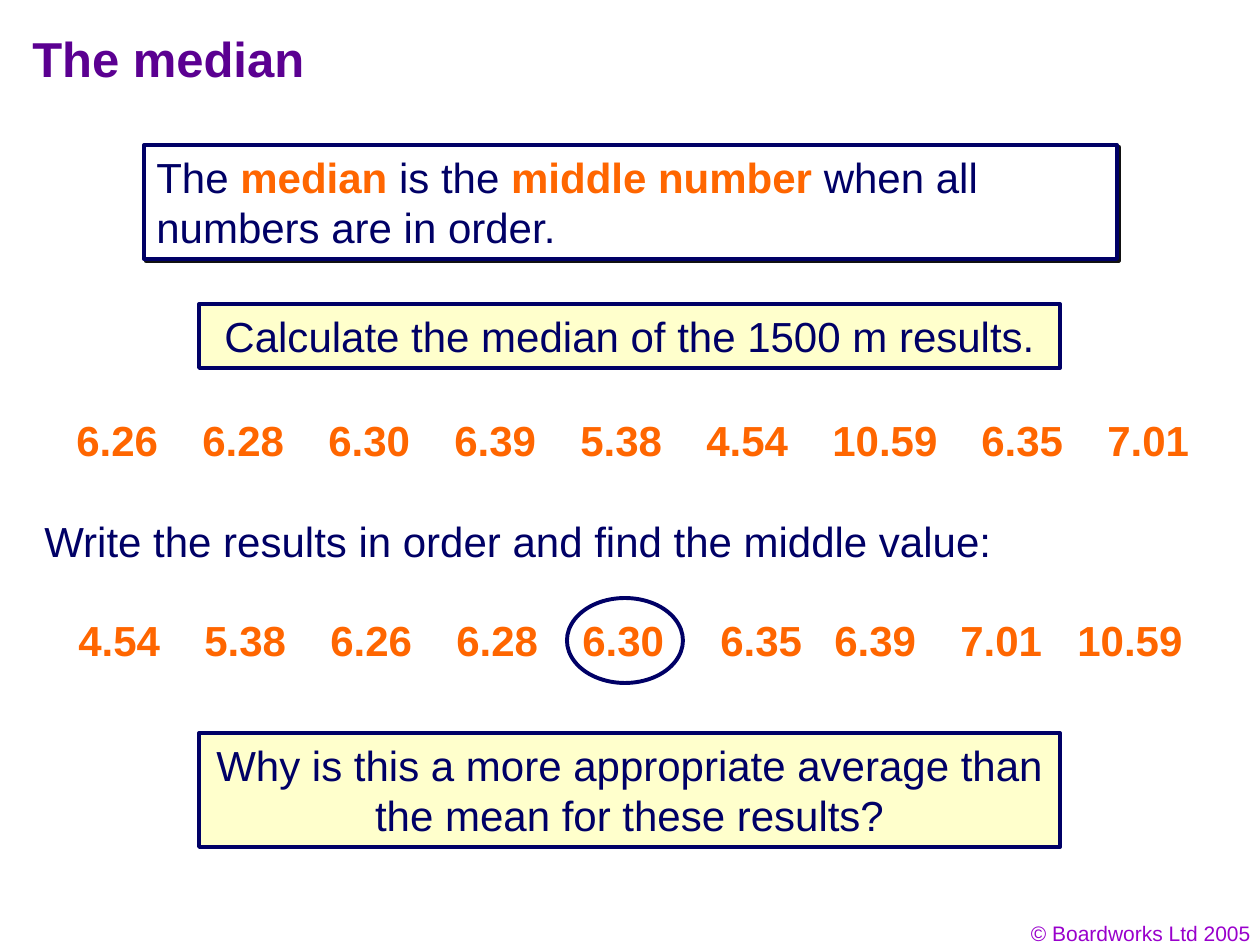
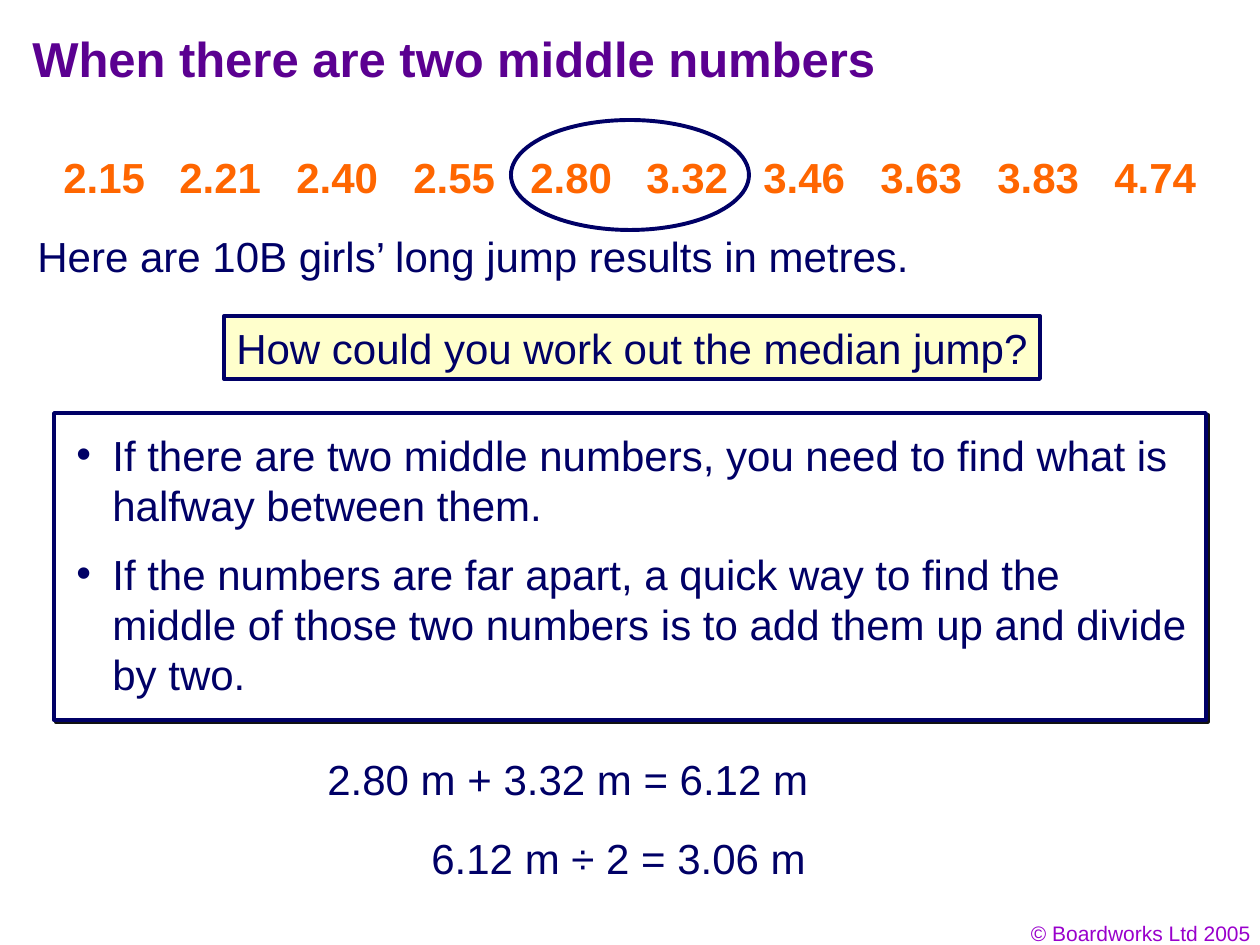
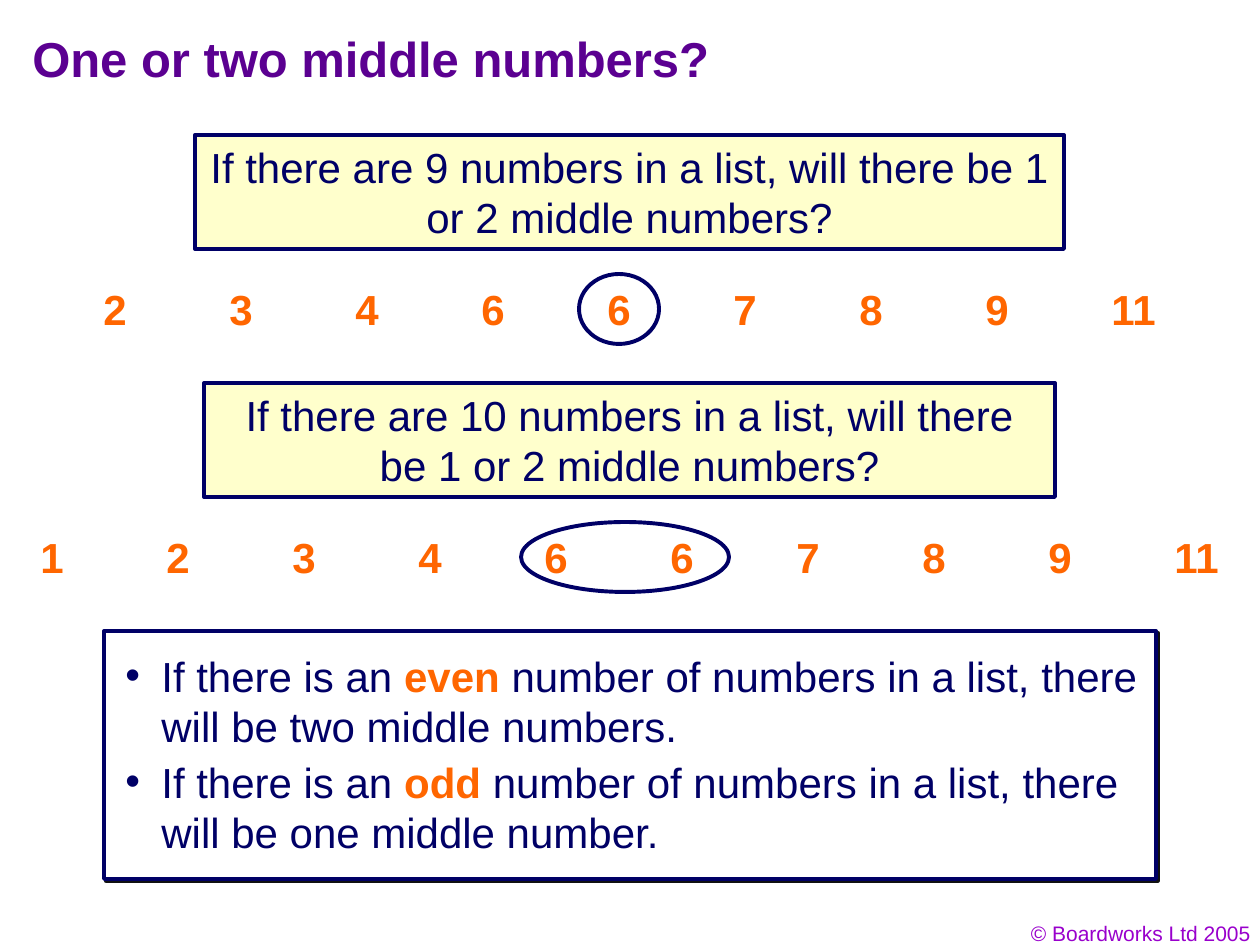
from pptx import Presentation
from pptx.dml.color import RGBColor
from pptx.enum.shapes import MSO_SHAPE as SHAPE
from pptx.enum.text import MSO_ANCHOR as ANCHOR, PP_ALIGN as ALIGN
from pptx.oxml.ns import qn
from pptx.util import Pt
from lxml.etree import SubElement

PX = 914400 / 126
NAVY = RGBColor(0x00, 0x00, 0x66)
ORANGE = RGBColor(0xFF, 0x66, 0x00)
PURPLE = RGBColor(0x5B, 0x00, 0x91)
VIOLET = RGBColor(0x99, 0x00, 0xCC)
CREAM = RGBColor(0xFF, 0xFF, 0xCC)
WHITE = RGBColor(0xFF, 0xFF, 0xFF)
SHADOW = RGBColor(0x11, 0x11, 0x11)
FONT = "Arial"
TAB = 126
HANG = 36


def px(n):
    return round(n * PX)


def write(sp, text, size=24, color=NAVY, bold=False, align=ALIGN.LEFT,
          anchor=ANCHOR.TOP, wrap=True):
    """Fill a shape with one paragraph; *starred* words are bold orange."""
    tf = sp.text_frame
    tf.word_wrap = wrap
    tf.vertical_anchor = anchor
    p = tf.paragraphs[0]
    p.alignment = align
    for i, part in enumerate(text.split("*")):
        if part:
            starred = i % 2 == 1
            r = p.add_run()
            r.text = part
            r.font.name = FONT
            r.font.size = Pt(size)
            r.font.bold = bold or starred
            r.font.color.rgb = ORANGE if starred else color
    return p


def text_box(slide, box, text, **fmt):
    return write(slide.shapes.add_textbox(*map(px, box)), text, **fmt)


def outlined(slide, kind, box, fill=None):
    sp = slide.shapes.add_shape(kind, *map(px, box))
    sp.shadow.inherit = False
    if fill is None:
        sp.fill.background()
    else:
        sp.fill.solid()
        sp.fill.fore_color.rgb = fill
    sp.line.color.rgb = NAVY
    sp.line.width = Pt(2.25)
    return sp


def ring(slide, *box):
    outlined(slide, SHAPE.OVAL, box)


def question(slide, box, text, wrap=True):
    sp = outlined(slide, SHAPE.RECTANGLE, box, CREAM)
    write(sp, text, align=ALIGN.CENTER, wrap=wrap)


def card(slide, box):
    """White panel with a thin hard shadow."""
    sp = outlined(slide, SHAPE.RECTANGLE, box, WHITE)
    effects = sp._element.spPr.find(qn("a:effectLst"))
    shadow = SubElement(effects, qn("a:outerShdw"), dist=str(Pt(1.4)),
                        dir="2700000", algn="ctr", rotWithShape="0")
    SubElement(shadow, qn("a:srgbClr"), val=str(SHADOW))
    return sp


def bullet(slide, box, text):
    p = text_box(slide, box, text)
    pPr = p._p.get_or_add_pPr()
    pPr.set("marL", str(px(HANG)))
    pPr.set("indent", str(-px(HANG)))
    SubElement(SubElement(pPr, qn("a:buClr")), qn("a:srgbClr"), val=str(NAVY))
    SubElement(pPr, qn("a:buFont"), typeface=FONT)
    SubElement(pPr, qn("a:buChar"), char="•")


def bullet_card(slide, box, bullets):
    """Card with bullets given as (dx, dy, width, height, text)."""
    card(slide, box)
    left, top = box[:2]
    for dx, dy, width, height, text in bullets:
        bullet(slide, (left + dx, top + dy, width, height), text)


def number_row(slide, box, numbers, stops=None):
    """Numbers on tab stops, measured from the start of the first number."""
    values = numbers.split()
    stops = stops or [TAB * i for i in range(1, len(values))]
    p = text_box(slide, box, "\t".join(values), color=ORANGE, bold=True)
    tabs = SubElement(p._p.get_or_add_pPr(), qn("a:tabLst"))
    for stop in stops:
        SubElement(tabs, qn("a:tab"), pos=str(px(stop)), algn="l")


def new_slide(prs, title, title_width):
    slide = prs.slides.add_slide(prs.slide_layouts[6])
    text_box(slide, (969, 914, 294, 38), "© Boardworks Ltd 2005",
             size=12, color=VIOLET, align=ALIGN.RIGHT)
    text_box(slide, (20, 21, title_width, 73), title,
             size=28, color=PURPLE, bold=True, anchor=ANCHOR.MIDDLE)
    return slide


def median_slide(prs):
    slide = new_slide(prs, "The median", 504)
    write(card(slide, (144, 145, 973, 114)),
          "The *median* is the *middle number* when all numbers are in order.")
    question(slide, (199, 304, 861, 64),
             "Calculate the median of the 1500 m results.")
    number_row(slide, (64, 408, 1142, 63),
               "6.26 6.28 6.30 6.39 5.38 4.54 10.59 6.35 7.01",
               [TAB * i for i in range(1, 7)] + [905, 1031])
    text_box(slide, (32, 509, 973, 63),
             "Write the results in order and find the middle value:", wrap=False)
    number_row(slide, (66, 608, 1129, 63),
               "4.54 5.38 6.26 6.28 6.30 6.35 6.39 7.01 10.59",
               [TAB * i for i in range(1, 5)] + [642, 756, 882, 999])
    ring(slide, 567, 598, 116, 85)
    question(slide, (199, 733, 861, 114),
             "Why is this a more appropriate average than the mean for these results?")


def two_middles_slide(prs):
    slide = new_slide(prs, "When there are two middle numbers", 882)
    number_row(slide, (51, 145, 1170, 63),
               "2.15 2.21 2.40 2.55 2.80 3.32 3.46 3.63 3.83 4.74",
               [1051 * i // 9 for i in range(1, 10)])
    ring(slide, 511, 120, 238, 110)
    text_box(slide, (25, 224, 898, 63),
             "Here are 10B girls’ long jump results in metres.", wrap=False)
    question(slide, (224, 316, 816, 63),
             "How could you work out the median jump?", wrap=False)
    bullet_card(slide, (54, 413, 1152, 307), [
        (10, 10, 1141, 113, "If there are two middle numbers, you need to find "
                            "what is halfway between them."),
        (10, 129, 1141, 164, "If the numbers are far apart, a quick way to find the "
                             "middle of those two numbers is to add them up and "
                             "divide by two."),
    ])
    text_box(slide, (315, 747, 630, 63), "2.80 m + 3.32 m = 6.12 m")
    text_box(slide, (419, 826, 400, 63), "6.12 m ÷ 2 = 3.06 m", wrap=False)


def one_or_two_slide(prs):
    slide = new_slide(prs, "One or two middle numbers?", 955)
    question(slide, (195, 135, 869, 114),
             "If there are 9 numbers in a list, will there be 1 or 2 middle numbers?")
    number_row(slide, (91, 277, 1080, 63), "2 3 4 6 6 7 8 9 11")
    ring(slide, 579, 274, 80, 70)
    question(slide, (204, 383, 851, 114),
             "If there are 10 numbers in a list, will there be 1 or 2 middle numbers?")
    number_row(slide, (28, 525, 1220, 63), "1 2 3 4 6 6 7 8 9 11")
    ring(slide, 521, 522, 208, 70)
    bullet_card(slide, (104, 631, 1052, 248), [
        (9, 13, 1072, 113, "If there is an *even* number of numbers in a list, "
                           "there will be two middle numbers."),
        (9, 119, 1072, 113, "If there is an *odd* number of numbers in a list, "
                            "there will be one middle number."),
    ])


def main():
    prs = Presentation()
    prs.slide_width, prs.slide_height = px(1260), px(945)
    median_slide(prs)
    two_middles_slide(prs)
    one_or_two_slide(prs)
    prs.save("out.pptx")


if __name__ == "__main__":
    main()
